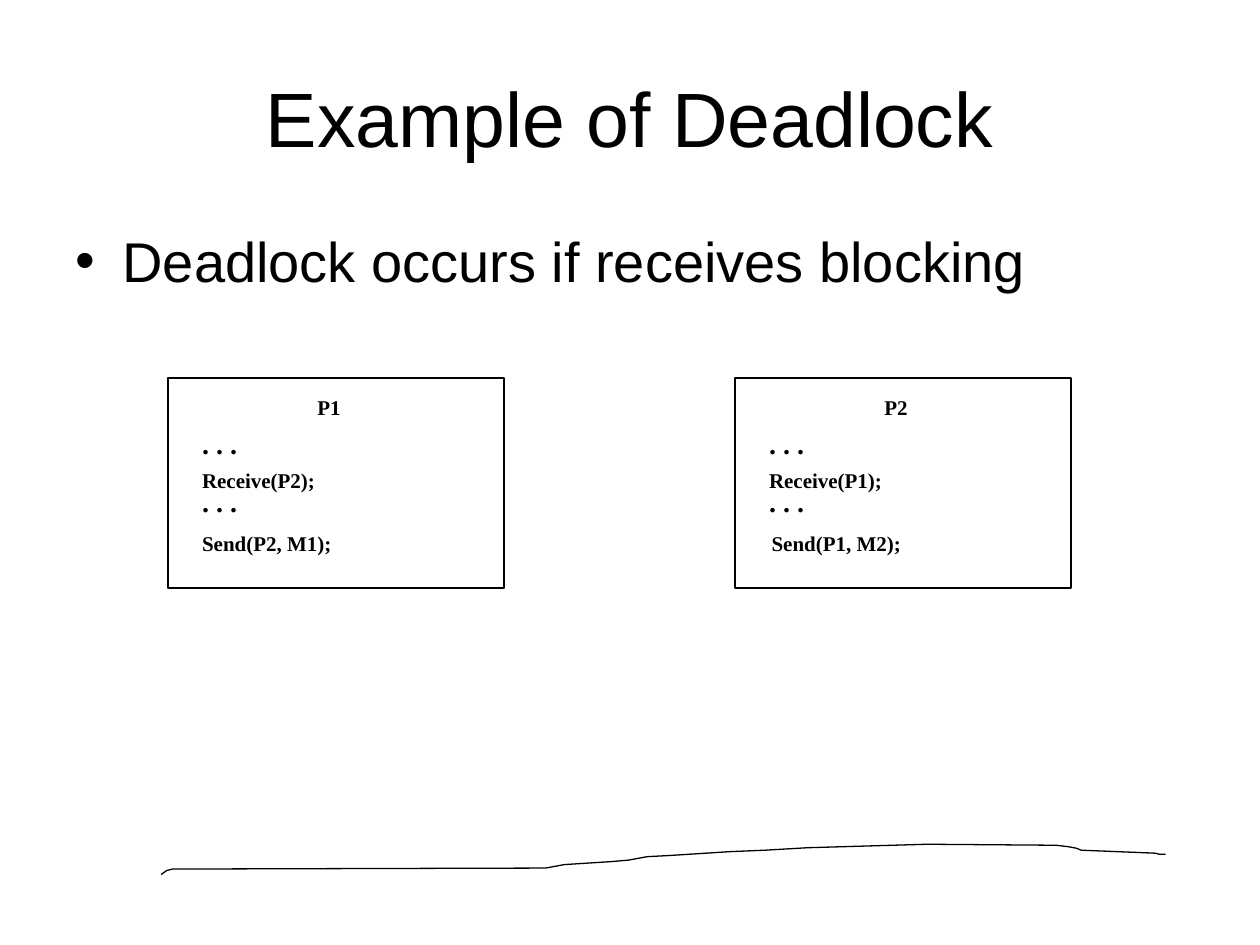
from pptx import Presentation
from pptx.dml.color import RGBColor
from pptx.enum.shapes import MSO_SHAPE
from pptx.enum.text import MSO_ANCHOR, MSO_AUTO_SIZE, PP_ALIGN
from pptx.util import Cm, Pt
from lxml.etree import SubElement
from pptx.oxml.ns import qn

COLORS = {"ink": "000000", "paper": "FFFFFF"}
HEAD = {"name": "Arial", "size": Pt(44)}
BODY = {"name": "Arial", "size": Pt(32)}
CODE = {"name": "Times New Roman", "size": Pt(12), "bold": True}
DOTS = {**CODE, "size": Pt(16)}

# Corners of the wavy line, in cm
WAVE = [(3.25, 17.63), (3.36, 17.55), (3.48, 17.52), (11, 17.5),
        (11.38, 17.43), (12.32, 17.37), (12.67, 17.34), (13.05, 17.27),
        (13.44, 17.25), (13.92, 17.22), (14.7, 17.17), (15.42, 17.14),
        (16.28, 17.09), (18.69, 17.02), (21.29, 17.04), (21.54, 17.07),
        (21.7, 17.1), (21.8, 17.14), (23.29, 17.2), (23.37, 17.22),
        (23.5, 17.22)]


def color(key):
    return RGBColor.from_string(COLORS[key])


def add_text(slide, box, text, style, align=PP_ALIGN.CENTER, wrap=False):
    shape = slide.shapes.add_textbox(*map(Cm, box))
    frame = shape.text_frame
    frame.word_wrap = wrap
    frame.auto_size = (MSO_AUTO_SIZE.NONE if wrap
                       else MSO_AUTO_SIZE.SHAPE_TO_FIT_TEXT)
    para = frame.paragraphs[0]
    para.alignment = align
    run = para.add_run()
    run.text = text
    for key, value in style.items():
        setattr(run.font, key, value)
    run.font.color.rgb = color("ink")
    return frame


def add_bullet(para):
    props = para._p.get_or_add_pPr()
    props.set("marL", str(Cm(0.95)))
    props.set("indent", str(Cm(-0.95)))
    para.space_before = Pt(3.2)
    SubElement(props, qn("a:buFont")).set("typeface", "Arial")
    SubElement(props, qn("a:buChar")).set("char", "•")


def set_line(shape, width):
    shape.shadow.inherit = False
    shape.line.color.rgb = color("ink")
    shape.line.width = Pt(width)


def add_wave(slide):
    points = [(Cm(x), Cm(y)) for x, y in WAVE]
    pen = slide.shapes.build_freeform(*points[0])
    pen.add_line_segments(points[1:], close=False)
    wave = pen.convert_to_shape()
    wave.fill.background()
    set_line(wave, 0.75)


def add_process(slide, left, name, peer, message, shift):
    top = 7.62
    box = slide.shapes.add_shape(
        MSO_SHAPE.RECTANGLE, *map(Cm, (left, top, 6.77, 4.23)))
    box.fill.solid()
    box.fill.fore_color.rgb = color("paper")
    set_line(box, 1)
    # Offset from the box, width, height, wording, style
    rows = [(2.75, 0.21, 0.99, 0.76, name, CODE),
            (0.43, 0.85, 1.22, 0.94, ". . .", DOTS),
            (0.43, 2.03, 1.22, 0.94, ". . .", DOTS),
            (0.43, 1.69, 2.79, 0.76, f"Receive({peer});", CODE),
            (0.43 + shift, 2.96, 3.12, 0.76, f"Send({peer}, {message});", CODE)]
    for x, y, wide, high, text, style in rows:
        add_text(slide, (left + x, top + y, wide, high), text, style)


def main():
    deck = Presentation()
    deck.slide_width, deck.slide_height = Cm(25.4), Cm(19.05)
    slide = deck.slides.add_slide(deck.slide_layouts[6])

    add_wave(slide)

    # Title and bullet
    title = add_text(slide, (1.27, 0.76, 22.86, 3.18),
                     "Example of Deadlock", HEAD, wrap=True)
    title.vertical_anchor = MSO_ANCHOR.MIDDLE
    body = add_text(slide, (1.27, 4.45, 22.86, 13.77),
                    "Deadlock occurs if receives blocking", BODY,
                    PP_ALIGN.LEFT, True)
    add_bullet(body.paragraphs[0])

    # The two processes
    add_process(slide, 3.39, "P1", "P2", "M1", 0)
    add_process(slide, 14.82, "P2", "P1", "M2", 0.05)

    deck.save("out.pptx")


main()
